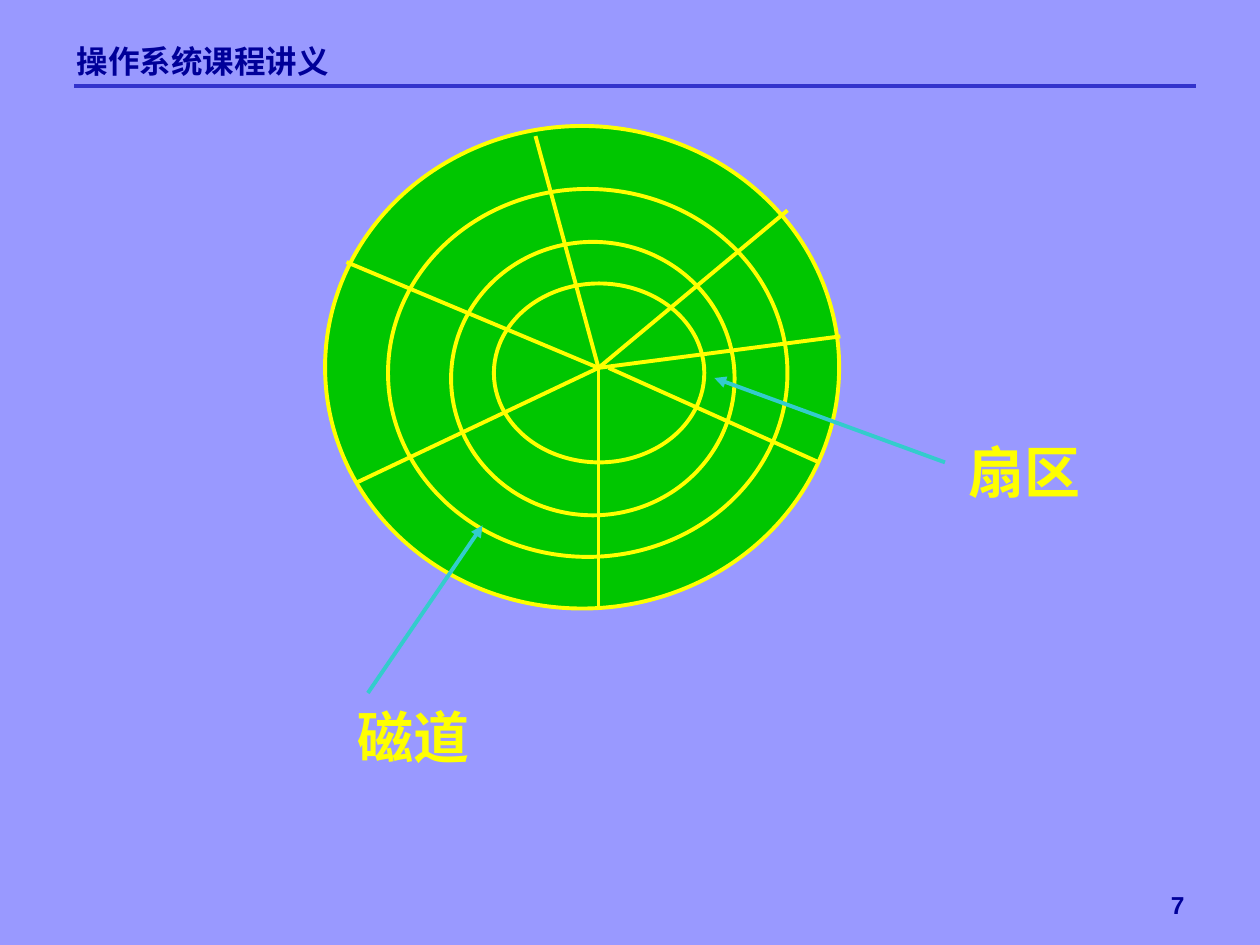
from dataclasses import dataclass

from lxml.etree import SubElement
from pptx import Presentation
from pptx.dml.color import RGBColor
from pptx.enum.shapes import MSO_CONNECTOR as Connector, MSO_SHAPE as Shape
from pptx.enum.text import MSO_ANCHOR as Anchor, MSO_AUTO_SIZE as AutoSize, PP_ALIGN as Align
from pptx.oxml.ns import qn
from pptx.util import Inches, Pt


@dataclass(frozen=True)
class Theme:
    background: str = "9999FF"
    rule: str = "3333CC"
    heading: str = "000099"
    disk: str = "00C600"
    accent: str = "FFFF00"
    arrow: str = "33CCCC"
    heading_font: str = "Arial"
    label_font: str = "Times New Roman"
    heading_size: int = 18
    label_size: int = 32
    number_size: int = 14
    line_width: float = 2.25


@dataclass(frozen=True)
class Box:
    left: float
    top: float
    width: float
    height: float

    def lengths(self) -> list:
        return [Inches(v) for v in (self.left, self.top, self.width, self.height)]


@dataclass(frozen=True)
class Callout:
    text: str
    box: Box
    start: tuple
    end: tuple


THEME = Theme()

# Concentric circles, from the outermost inwards
TRACKS = [
    Box(2.58, 1, 4.08, 3.83),
    Box(3.08, 1.5, 3.17, 2.92),
    Box(3.58, 1.92, 2.25, 2.17),
    Box(3.92, 2.25, 1.67, 1.42),
]

# Sector borders run from the hub to the rim; one starts slightly off centre
HUB = (4.75, 2.92)
RIM_POINTS = [(6.25, 1.67), (4.75, 4.83), (2.83, 3.83),
              (4.25, 1.08), (2.75, 2.08), (6.67, 2.67)]
SPOKES = [(HUB, point) for point in RIM_POINTS] + [((4.83, 2.92), (6.5, 3.67))]

CALLOUTS = [
    Callout("磁道", Box(2.74, 5.52, 1.09, 0.64), (2.92, 5.5), (3.83, 4.17)),
    Callout("扇区", Box(7.59, 3.42, 1.09, 0.64), (7.5, 3.67), (5.67, 3)),
]


def rgb(color: str) -> RGBColor:
    return RGBColor.from_string(color)


def write_text(shape, text: str, *, size: int, font: str, color: str,
               align=Align.LEFT, anchor=Anchor.TOP, wrap: bool = True,
               auto_size=AutoSize.NONE) -> None:
    frame = shape.text_frame
    frame.auto_size = auto_size
    frame.word_wrap = wrap
    frame.vertical_anchor = anchor
    para = frame.paragraphs[0]
    para.alignment = align
    span = para.add_run()
    span.text = text
    span.font.size = Pt(size)
    span.font.name = font
    span.font.bold = True
    span.font.color.rgb = rgb(color)


def draw_line(page, start: tuple, end: tuple, color: str, arrow: bool = False) -> None:
    line = page.shapes.add_connector(
        Connector.STRAIGHT, *[Inches(v) for v in (*start, *end)])
    line.line.color.rgb = rgb(color)
    line.line.width = Pt(THEME.line_width)
    properties = line._element.spPr
    if arrow:
        SubElement(properties.find(qn("a:ln")), qn("a:tailEnd"), type="triangle")
    SubElement(properties, qn("a:effectLst"))


def draw_track(page, box: Box) -> None:
    track = page.shapes.add_shape(Shape.OVAL, *box.lengths())
    track.shadow.inherit = False
    track.fill.solid()
    track.fill.fore_color.rgb = rgb(THEME.disk)
    track.line.color.rgb = rgb(THEME.accent)
    track.line.width = Pt(THEME.line_width)


def draw_callout(page, callout: Callout) -> None:
    draw_line(page, callout.start, callout.end, THEME.arrow, arrow=True)
    label = page.shapes.add_textbox(*callout.box.lengths())
    write_text(label, callout.text, size=THEME.label_size, font=THEME.label_font,
               color=THEME.accent, anchor=Anchor.MIDDLE, wrap=False,
               auto_size=AutoSize.SHAPE_TO_FIT_TEXT)


def main() -> None:
    deck = Presentation()
    deck.slide_width, deck.slide_height = Inches(10), Inches(7.5)
    page = deck.slides.add_slide(deck.slide_layouts.get_by_name("Title Only"))
    page.background.fill.solid()
    page.background.fill.fore_color.rgb = rgb(THEME.background)

    # Heading and rule
    draw_line(page, (0.59, 0.68), (9.49, 0.68), THEME.rule)
    title = page.shapes.title
    title.left, title.top, title.width, title.height = Box(0.51, 0.28, 2.44, 0.24).lengths()
    write_text(title, "操作系统课程讲义", size=THEME.heading_size,
               font=THEME.heading_font, color=THEME.heading)

    # Disk with tracks and sectors
    for track in TRACKS:
        draw_track(page, track)
    for start, end in SPOKES:
        draw_line(page, start, end, THEME.accent)
    for callout in CALLOUTS:
        draw_callout(page, callout)

    # Page number
    number = page.shapes.add_textbox(*Box(8.94, 6.83, 0.56, 0.52).lengths())
    write_text(number, "7", size=THEME.number_size, font=THEME.heading_font,
               color=THEME.heading, align=Align.RIGHT, anchor=Anchor.BOTTOM)

    deck.save("out.pptx")


if __name__ == "__main__":
    main()
